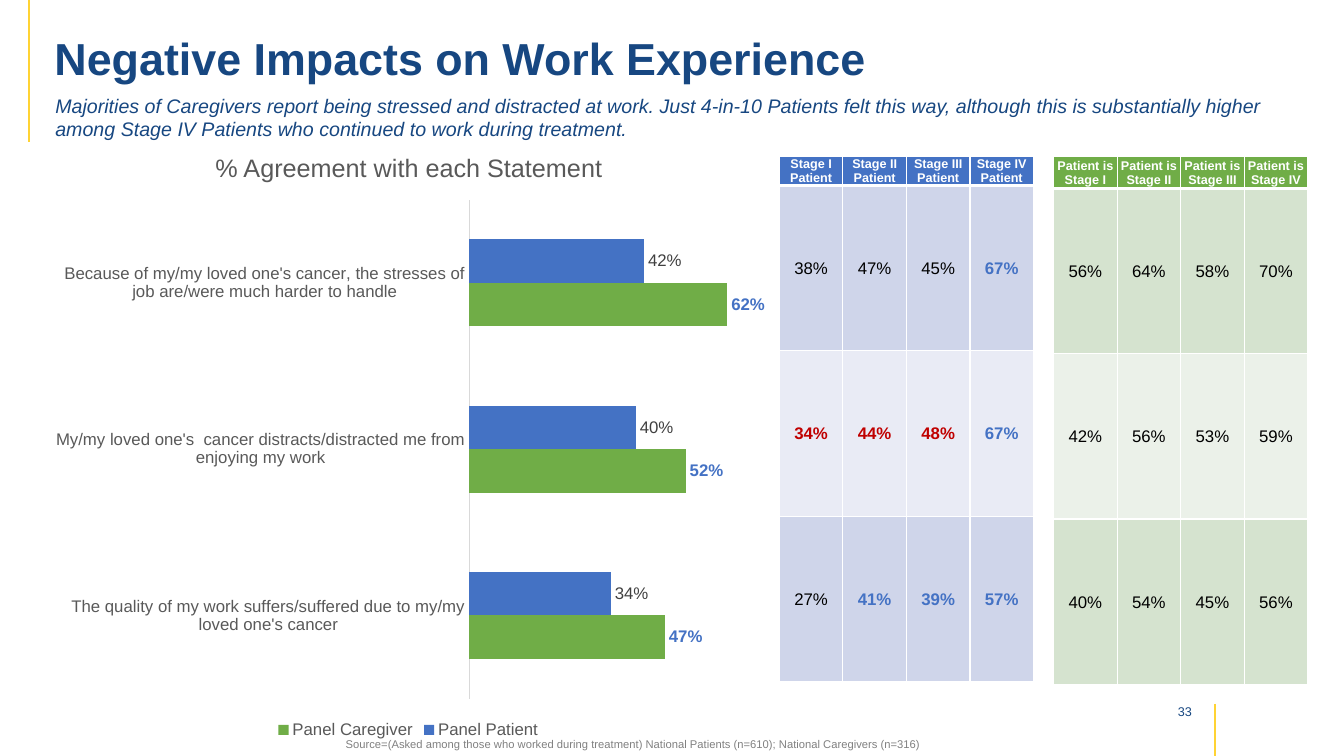
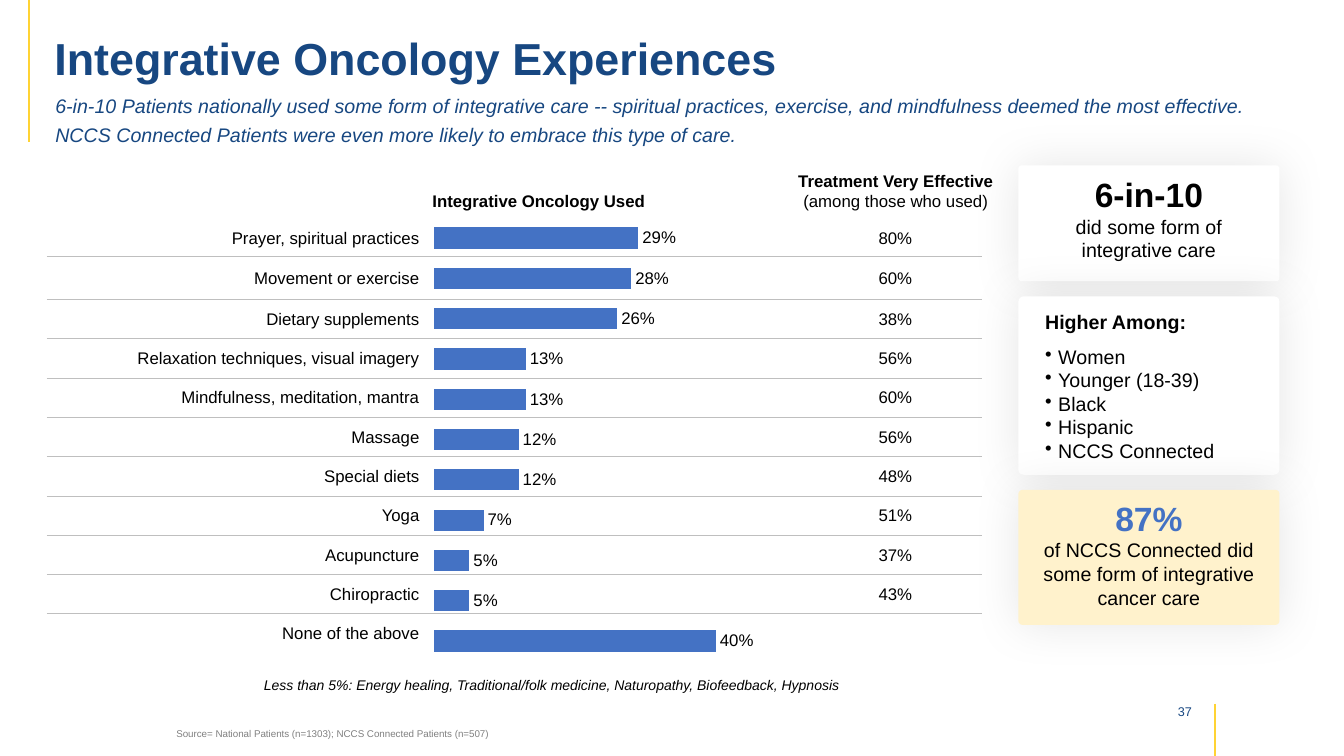
from pptx import Presentation
from pptx.chart.data import CategoryChartData
from pptx.dml.color import RGBColor
from pptx.enum.chart import XL_CHART_TYPE, XL_LABEL_POSITION, XL_LEGEND_POSITION, XL_TICK_MARK
from pptx.enum.shapes import MSO_CONNECTOR, MSO_SHAPE
from pptx.enum.text import MSO_ANCHOR, PP_ALIGN
from pptx.oxml import parse_xml
from pptx.oxml.ns import nsdecls, qn
from pptx.util import Inches, Pt

LEFT, MID, RIGHT = PP_ALIGN.LEFT, PP_ALIGN.CENTER, PP_ALIGN.RIGHT
TOP, CENTER = MSO_ANCHOR.TOP, MSO_ANCHOR.MIDDLE
BARS = XL_CHART_TYPE.BAR_CLUSTERED
END = XL_LABEL_POSITION.OUTSIDE_END
BELOW = XL_LEGEND_POSITION.BOTTOM
NONE = XL_TICK_MARK.NONE
LINE = MSO_CONNECTOR.STRAIGHT
ROUND = MSO_SHAPE.ROUNDED_RECTANGLE

FONT = "Arial"
NAVY, GOLD, BLUE, GREEN = "174781", "FFD334", "4472C4", "70AD47"
RED, BLACK, WHITE = "C00000", "000000", "FFFFFF"
DARK, GRAY, SOFT = "595959", "808080", "BFBFBF"
hue = RGBColor.from_string


def write(frame, text, size=12, color=BLACK, bold=False, italic=False,
          align=LEFT, before=0, gap=0, lead=None, bullet=False):
    for i, line in enumerate(text.split("\n")):
        para = frame.add_paragraph() if frame.text else frame.paragraphs[0]
        para.alignment = align
        para.space_before = Pt(gap if i else before)
        if lead:
            para.line_spacing = lead
        if bullet:
            props = para._p.get_or_add_pPr()
            props.set("marL", str(Inches(0.13)))
            props.set("indent", str(-Inches(0.13)))
            props.append(parse_xml(f'<a:buChar {nsdecls("a")} char="•"/>'))
        run = para.add_run()
        run.text = line
        font = run.font
        font.name, font.size, font.bold, font.italic = FONT, Pt(size), bold, italic
        font.color.rgb = hue(color)


def grid(slide, left, top, widths, heights, rows):
    shape = slide.shapes.add_table(len(heights), len(widths), Inches(left), Inches(top),
                                   Inches(sum(widths)), Inches(sum(heights)))
    table = shape.table
    table.first_row = table.horz_banding = False
    for col, width in zip(table.columns, widths):
        col.width = Inches(width)
    for line, height in zip(table.rows, heights):
        line.height = Inches(height)
    for r, (fill, over, under, cells) in enumerate(rows):
        for c, (text, look) in enumerate(cells):
            cell = table.cell(r, c)
            cell.margin_left = cell.margin_top = cell.margin_right = Inches(0.01)
            cell.margin_bottom = 0
            cell.vertical_anchor = CENTER
            if fill:
                cell.fill.solid()
                cell.fill.fore_color.rgb = hue(fill)
            else:
                cell.fill.background()
            sides = zip("LRTB", ((WHITE, 1), (WHITE, 1), over, under))
            for i, (side, (color, width)) in enumerate(sides):
                cell._tc.get_or_add_tcPr().insert(i, parse_xml(
                    f'<a:ln{side} {nsdecls("a")} w="{Pt(width)}"><a:solidFill>'
                    f'<a:srgbClr val="{color}"/></a:solidFill></a:ln{side}>'))
            if text:
                write(cell.text_frame, text, **look)


deck = Presentation()
deck.slide_width, deck.slide_height = Inches(13.33), Inches(7.5)

heads = [
    ("Negative Impacts on Work Experience", "33",
     "Majorities of Caregivers report being stressed and distracted at work. Just 4-in-10 "
     "Patients felt this way, although this is substantially higher among Stage IV Patients "
     "who continued to work during treatment."),
    ("Integrative Oncology Experiences", "37",
     "6-in-10 Patients nationally used some form of integrative care -- spiritual practices, "
     "exercise, and mindfulness deemed the most effective.\n"
     "NCCS Connected Patients were even more likely to embrace this type of care."),
]
slides, notes = [], []
for title, page, lede in heads:
    slide = deck.slides.add_slide(deck.slide_layouts[5])
    slides.append(slide)
    for x, y, end in ((0.29, 0, 1.41), (12.05, 6.98, 7.5)):
        rule = slide.shapes.add_connector(LINE, Inches(x), Inches(y), Inches(x), Inches(end))
        rule.line.color.rgb = hue(GOLD)
        rule.line.width = Pt(1.5)
        rule._element.spPr.append(parse_xml(f'<a:effectLst {nsdecls("a")}/>'))
    head = slide.shapes.title
    head.left, head.top, head.width, head.height = map(Inches, (0.44, 0.23, 12.39, 0.76))
    head.text_frame.vertical_anchor = CENTER
    write(head.text_frame, title, size=32, color=NAVY, bold=True, lead=0.9)
    notes += [
        (slide, (0.45, 0.88, 12.35, 0.63), lede, dict(size=14, color=NAVY, italic=True, gap=4)),
        (slide, (11.33, 6.93, 0.59, 0.25), page, dict(size=9, color=NAVY, align=RIGHT)),
    ]
work, care = slides

stages = ("I", "II", "III", "IV")
panels = [
    (7.73, 0.25, BLUE, ("CFD5EA", "E9EBF5"), "Stage {} Patient",
     ((38, 47, 45, 67), (34, 44, 48, 67), (27, 41, 39, 57)), ("kkkb", "rrrb", "kbbb")),
    (10.45, 0.32, GREEN, ("D5E3CF", "EBF1E9"), "Patient is Stage {}",
     ((56, 64, 58, 70), (42, 56, 53, 59), (40, 54, 45, 56)), ("kkkk",) * 3),
]
inks = {"k": BLACK, "b": BLUE, "r": RED}
thin = (WHITE, 1)
for left, height, fill, bands, label, data, marks in panels:
    look = dict(size=9, color=WHITE, bold=True, align=MID)
    rows = [(fill, thin, (WHITE, 3), [(label.format(s), look) for s in stages])]
    for i, (vals, keys) in enumerate(zip(data, marks)):
        cells = [(f"{v}%", dict(color=inks[k], bold=k != "k", align=MID))
                 for v, k in zip(vals, keys)]
        rows.append((bands[i % 2], thin, thin, cells))
    grid(work, left, 1.55, [0.63] * 4, [height] + [1.64] * 3, rows)

uses = [
    ("Prayer, spiritual practices", 0.29, "80%"),
    ("Movement or exercise", 0.28, "60%"),
    ("Dietary supplements", 0.26, "38%"),
    ("Relaxation techniques, visual imagery", 0.13, "56%"),
    ("Mindfulness, meditation, mantra", 0.13, "60%"),
    ("Massage", 0.12, "56%"),
    ("Special diets", 0.12, "48%"),
    ("Yoga", 0.07, "51%"),
    ("Acupuncture", 0.05, "37%"),
    ("Chiropractic", 0.05, "43%"),
    ("None of the above", 0.4, ""),
]
last = len(uses) - 1
hair = (SOFT, 0.5)
rows = [(None, hair if i else thin, hair if i < last else thin,
         [(name, dict(align=RIGHT)), ("", {}), (rate, dict(align=MID))])
        for i, (name, share, rate) in enumerate(uses)]
grid(care, 0.47, 2.19, [3.7, 3.86, 1.7], [0.35, 0.43] + [0.39] * 9, rows)

plots = [
    (work, (0.41, 1.87, 7.28, 5.5), 182, 0.7,
     ("Because of my/my loved one's cancer, the stresses of job are/were much harder to handle",
      "My/my loved one's  cancer distracts/distracted me from enjoying my work",
      "The quality of my work suffers/suffered due to my/my loved one's cancer"),
     (("Panel Patient", (0.42, 0.4, 0.34), BLUE, "404040", False),
      ("Panel Caregiver", (0.62, 0.52, 0.47), GREEN, BLUE, True))),
    (care, (4.23, 2.07, 3.88, 4.63), 90, 0.5,
     [str(i + 1) for i in range(len(uses))],
     (("Series 1", [use[1] for use in uses], BLUE, BLACK, False),)),
]
charts = []
for slide, box, gap, peak, cats, sets in plots:
    data = CategoryChartData(number_format="0%")
    data.categories = cats
    for name, vals, *rest in sets:
        data.add_series(name, vals)
    chart = slide.shapes.add_chart(BARS, *map(Inches, box), data).chart
    charts.append(chart)
    chart.has_title = chart.has_legend = False
    chart.font.name, chart.font.size = FONT, Pt(10)
    chart.font.color.rgb = hue(BLACK)
    axis = chart.value_axis
    axis.minimum_scale, axis.maximum_scale = 0, peak
    axis.has_major_gridlines = axis.visible = False
    chart.category_axis.reverse_order = True
    plot = chart.plots[0]
    plot.gap_width, plot.overlap, plot.vary_by_categories = gap, 0, False
    for series, (name, vals, fill, ink, bold) in zip(plot.series, sets):
        series.format.fill.solid()
        series.format.fill.fore_color.rgb = hue(fill)
        labels = series.data_labels
        labels.show_value = True
        labels.position = END
        labels.number_format, labels.number_format_is_linked = "0%", False
        labels.font.name, labels.font.size, labels.font.bold = FONT, Pt(12), bold
        labels.font.color.rgb = hue(ink)

agree, used = charts
axis = agree.category_axis
axis.major_tick_mark = axis.minor_tick_mark = NONE
axis.format.line.color.rgb = hue("D9D9D9")
axis.format.line.width = Pt(0.75)
agree.has_legend = True
agree.legend.position = BELOW
agree.legend.include_in_layout = False
for font in (axis.tick_labels.font, agree.legend.font):
    font.name, font.size = FONT, Pt(12)
    font.color.rgb = hue(DARK)

used.category_axis.visible = False
area = used.element.find(".//" + qn("c:plotArea"))
for old in area.findall(qn("c:layout")):
    area.remove(old)
parts = "".join(f'<c:{tag} val="{val}"/>' for tag, val in (
    ("layoutTarget", "inner"), ("xMode", "edge"), ("yMode", "edge"),
    ("x", 0.02), ("y", 0.02), ("w", 0.9), ("h", 0.95)))
area.insert(0, parse_xml(f'<c:layout {nsdecls("c")}><c:manualLayout>{parts}'
                         '</c:manualLayout></c:layout>'))

notes += [
    (work, (0.72, 1.46, 6.67, 0.4), "% Agreement with each Statement",
     dict(size=18, color=DARK, align=MID)),
    (work, (3.33, 7.27, 6.67, 0.24),
     "Source=(Asked among those who worked during treatment) National Patients (n=610); "
     "National Caregivers (n=316)", dict(size=8, color=GRAY)),
    (care, (4.19, 1.84, 2.62, 0.3), "Integrative Oncology Used", dict(bold=True)),
    (care, (7.67, 1.64, 2.43, 0.3), "Treatment Very Effective", dict(bold=True, align=MID)),
    (care, (7.67, 1.84, 2.43, 0.3), "(among those who used)", dict(align=MID)),
    (care, (2.52, 6.66, 6.36, 0.27),
     "Less than 5%: Energy healing, Traditional/folk medicine, Naturopathy, Biofeedback, "
     "Hypnosis", dict(size=10, italic=True)),
    (care, (1.65, 7.17, 6.25, 0.22),
     "Source= National Patients (n=1303); NCCS Connected Patients (n=507)",
     dict(size=7, color=GRAY)),
]
for slide, box, text, look in notes:
    frame = slide.shapes.add_textbox(*map(Inches, box)).text_frame
    frame.word_wrap = True
    write(frame, text, **look)

cards = [
    (1.64, 1.15, WHITE, 0.15, 0.08,
     (("6-in-10", dict(size=24, bold=True, align=MID)),
      ("did some form of integrative care", dict(size=14, align=MID)))),
    (2.94, 1.77, WHITE, 0.25, 0.12,
     (("Higher Among:", dict(size=14, bold=True)),
      ("Women\nYounger (18-39)\nBlack\nHispanic\nNCCS Connected",
       dict(size=14, before=8, bullet=True)))),
    (4.86, 1.34, "FFF2CC", 0.15, 0.07,
     (("87%", dict(size=24, color=BLUE, bold=True, align=MID)),
      ("of NCCS Connected did some form of integrative cancer care",
       dict(size=14, align=MID)))),
]
for top, height, fill, side, inset, lines in cards:
    card = care.shapes.add_shape(ROUND, Inches(10.1), Inches(top), Inches(2.59), Inches(height))
    card.adjustments[0] = 0.03
    card.fill.solid()
    card.fill.fore_color.rgb = hue(fill)
    card.line.fill.background()
    card.shadow.inherit = False
    card._element.spPr.find(qn("a:effectLst")).append(parse_xml(
        f'<a:outerShdw {nsdecls("a")} blurRad="{Pt(34.9)}" dist="0" dir="0">'
        f'<a:srgbClr val="{BLACK}"><a:alpha val="10000"/></a:srgbClr></a:outerShdw>'))
    frame = card.text_frame
    frame.word_wrap = True
    frame.vertical_anchor = TOP
    frame.margin_left = frame.margin_right = Inches(side)
    frame.margin_top, frame.margin_bottom = Inches(inset), 0
    for text, look in lines:
        write(frame, text, **look)

deck.save("out.pptx")
